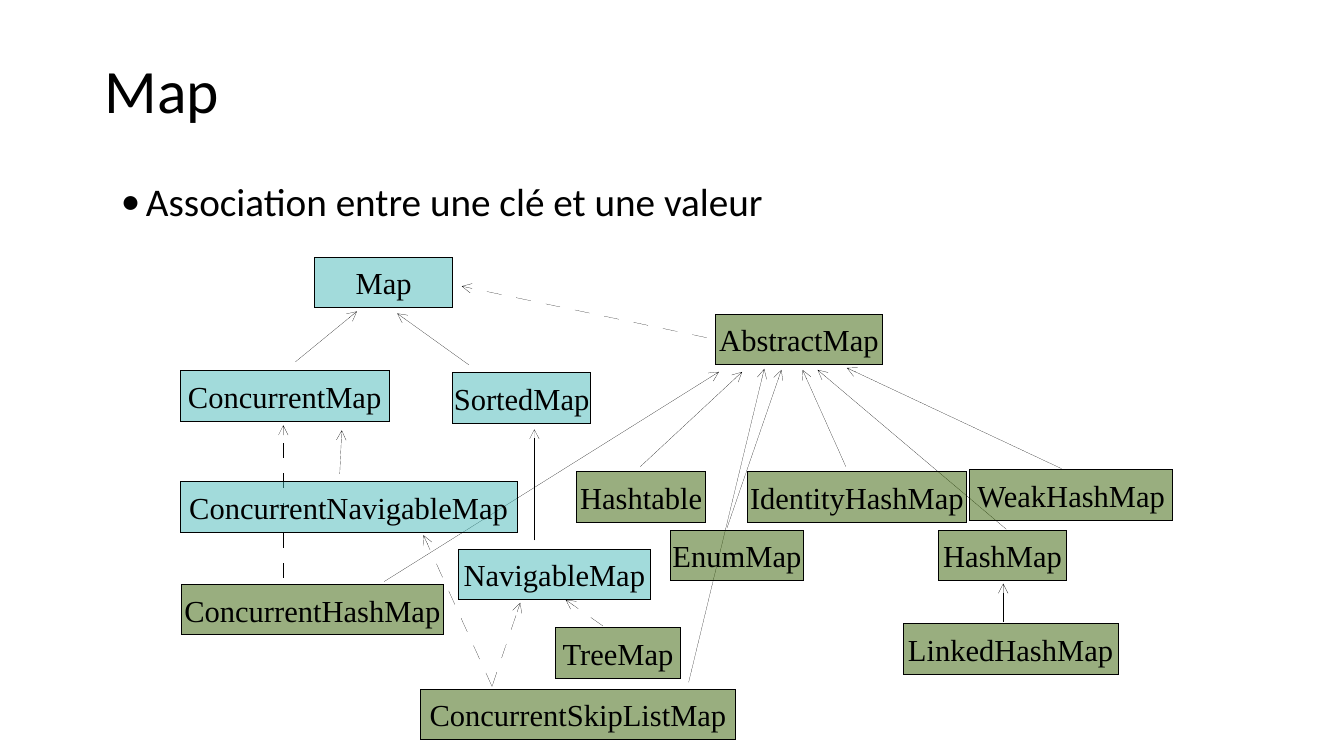
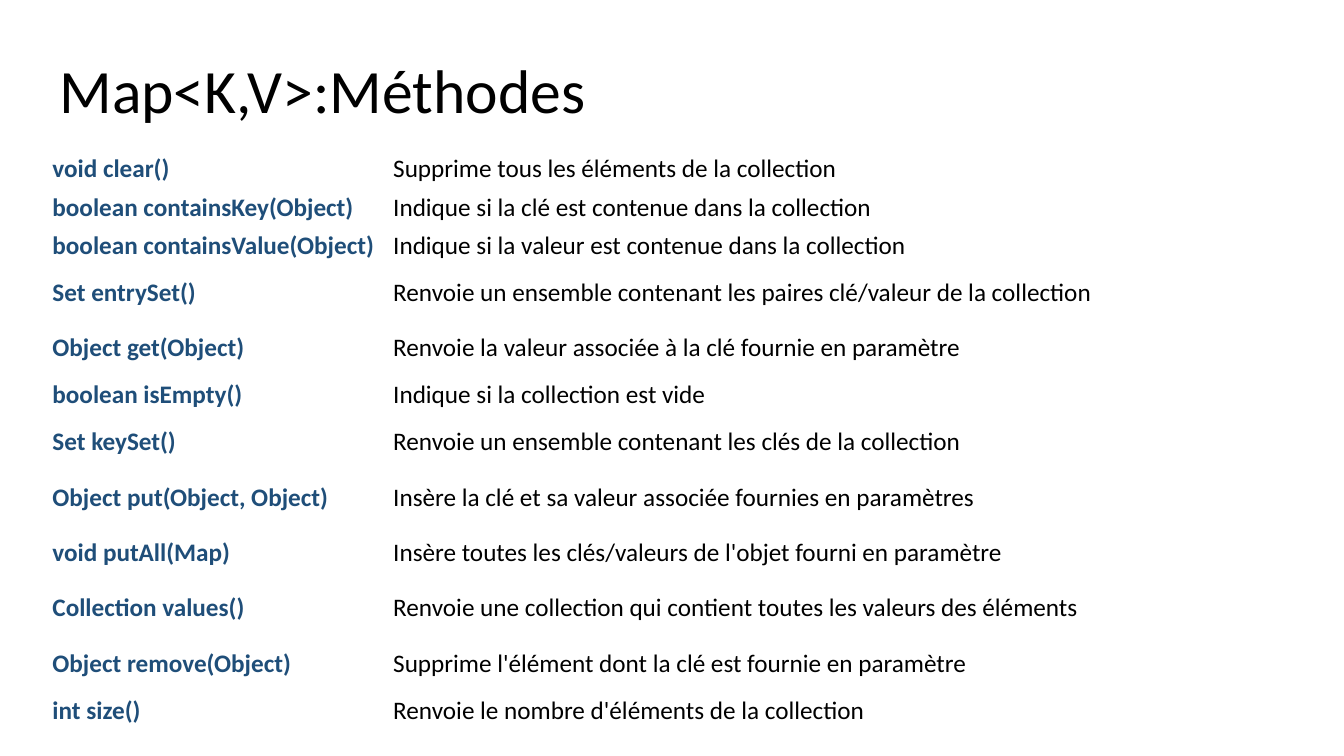
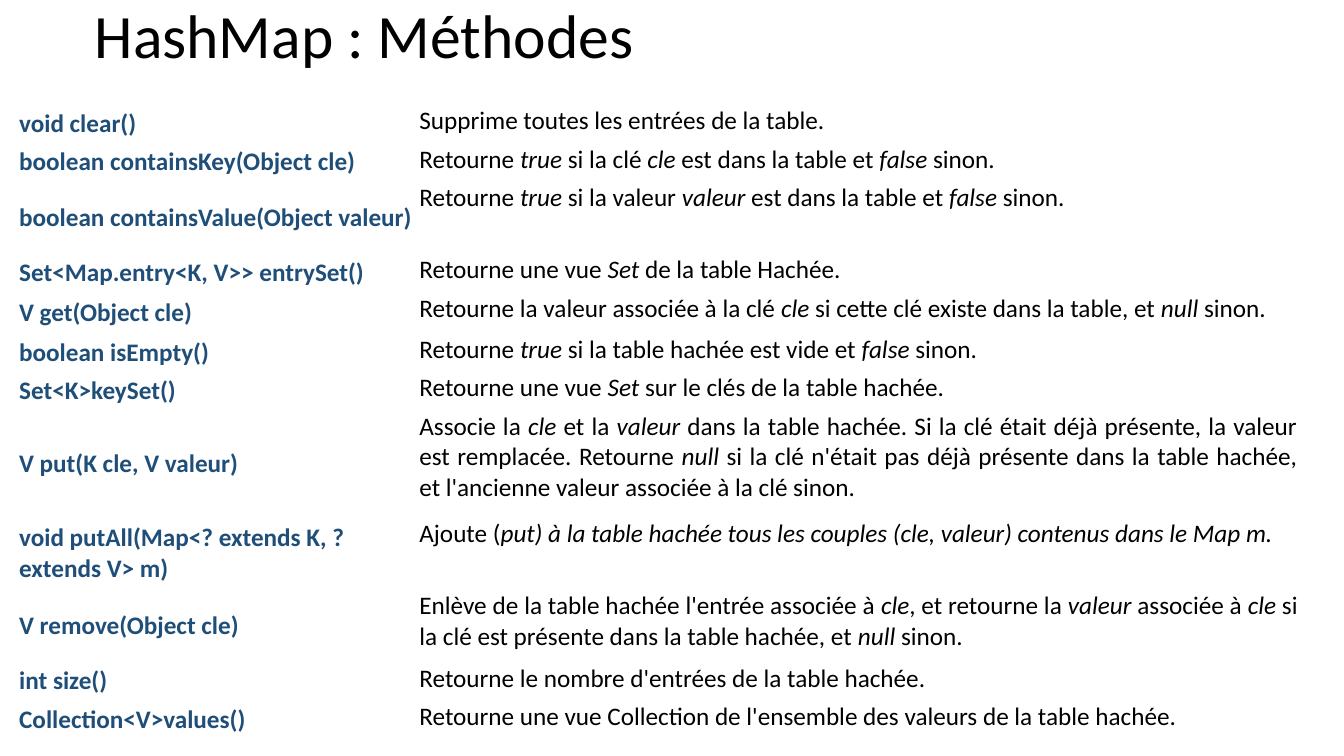
from dataclasses import dataclass

from lxml import etree
from pptx import Presentation
from pptx.dml.color import RGBColor
from pptx.enum import shapes, text
from pptx.oxml import ns
from pptx.util import Inches, Pt

BLACK = RGBColor(0x00, 0x00, 0x00)
NAVY = RGBColor(0x1F, 0x4E, 0x79)
TEAL = RGBColor(0x47, 0xB8, 0xB8)
GREEN = RGBColor(0x35, 0x5E, 0x00)
SANS = "Calibri"
SERIF = "Times New Roman"
BOX_HEIGHT = 0.5
DASH = "1400000"


@dataclass(frozen=True)
class TypeBox:
    name: str
    x: float
    y: float
    w: float
    color: RGBColor = GREEN


@dataclass(frozen=True)
class Arrow:
    x1: float
    y1: float
    x2: float
    y2: float
    dashed: bool = False


@dataclass(frozen=True)
class Method:
    signature: str
    summary: str
    height: float = 0.38


@dataclass(frozen=True)
class TableStyle:
    x: float
    y: float
    widths: tuple[float, float]
    margin: float
    anchor: text.MSO_ANCHOR
    align: text.PP_ALIGN


TYPES = (
    TypeBox("Map", 3.12, 2.55, 1.37, TEAL),
    TypeBox("ConcurrentMap", 1.79, 3.68, 2.07, TEAL),
    TypeBox("SortedMap", 4.49, 3.7, 1.37, TEAL),
    TypeBox("ConcurrentNavigableMap", 1.79, 4.78, 3.34, TEAL),
    TypeBox("NavigableMap", 4.55, 5.45, 1.9, TEAL),
    TypeBox("AbstractMap", 7.1, 3.12, 1.65),
    TypeBox("Hashtable", 5.72, 4.68, 1.28),
    TypeBox("IdentityHashMap", 7.41, 4.68, 2.18),
    TypeBox("WeakHashMap", 9.62, 4.66, 2.01),
    TypeBox("EnumMap", 6.65, 5.26, 1.32),
    TypeBox("HashMap", 9.31, 5.26, 1.27),
    TypeBox("LinkedHashMap", 8.96, 6.19, 2.13),
    TypeBox("ConcurrentHashMap", 1.8, 5.8, 2.6),
    TypeBox("TreeMap", 5.51, 6.23, 1.24),
    TypeBox("ConcurrentSkipListMap", 4.17, 6.84, 3.13),
)

ARROWS = (
    Arrow(3.81, 5.77, 7.13, 3.69),
    Arrow(6.83, 6.77, 7.58, 3.66),
    Arrow(9.98, 5.25, 8.11, 3.67),
    Arrow(2.93, 3.59, 3.54, 3.09),
    Arrow(4.65, 3.62, 3.94, 3.11),
    Arrow(8.39, 4.63, 7.96, 3.67),
    Arrow(7.21, 5.24, 7.75, 3.67),
    Arrow(9.95, 6.17, 9.95, 5.79),
    Arrow(6.35, 4.63, 7.36, 3.69),
    Arrow(10.53, 4.65, 8.4, 3.65),
    Arrow(5.3, 5.36, 5.3, 4.26),
    Arrow(3.37, 4.7, 3.39, 4.27),
    Arrow(7.01, 3.35, 4.58, 2.84, True),
    Arrow(4.88, 6.81, 5.16, 5.98, True),
    Arrow(4.88, 6.81, 4.2, 5.31, True),
    Arrow(2.81, 5.73, 2.81, 4.22, True),
    Arrow(5.98, 6.21, 5.61, 5.95, True),
)

MAP_METHODS = (
    Method("void clear()", "Supprime tous les éléments de la collection"),
    Method("boolean containsKey(Object)", "Indique si la clé est contenue dans la collection"),
    Method("boolean containsValue(Object)", "Indique si la valeur est contenue dans la collection"),
    Method("Set entrySet()", "Renvoie un ensemble contenant les paires clé/valeur de la collection", 0.55),
    Method("Object get(Object)", "Renvoie la valeur associée à la clé fournie en paramètre", 0.55),
    Method("boolean isEmpty()", "Indique si la collection est vide"),
    Method("Set keySet()", "Renvoie un ensemble contenant les clés de la collection", 0.55),
    Method("Object put(Object, Object)", "Insère la clé et sa valeur associée fournies en paramètres", 0.55),
    Method("void putAll(Map)", "Insère toutes les clés/valeurs de l'objet fourni en paramètre", 0.55),
    Method("Collection values()", "Renvoie une collection qui contient toutes les valeurs des éléments", 0.55),
    Method("Object remove(Object)", "Supprime l'élément dont la clé est fournie en paramètre", 0.55),
    Method("int size()", "Renvoie le nombre d'éléments de la collection"),
)

HASHMAP_METHODS = (
    Method("void clear()", "Supprime toutes les entrées de la table."),
    Method("boolean containsKey(Object cle)",
           "Retourne *true* si la clé *cle* est dans la table et *false* sinon."),
    Method("boolean containsValue(Object valeur)",
           "Retourne *true* si la valeur *valeur *est dans la table et *false* sinon.", 0.72),
    Method("Set<Map.entry<K, V>> entrySet()", "Retourne une vue *Set* de la table Hachée."),
    Method("V get(Object cle)",
           "Retourne la valeur associée à la clé *cle* si cette clé existe dans la table, "
           "et *null* sinon.", 0.41),
    Method("boolean isEmpty()", "Retourne *true* si la table hachée est vide et *false* sinon."),
    Method("Set<K>keySet()", "Retourne une vue *Set* sur le clés de la table hachée."),
    Method("V put(K cle, V valeur)",
           "Associe la *cle* et la *valeur* dans la table hachée. Si la clé était déjà présente, "
           "la valeur est remplacée. Retourne *null* si la clé n'était pas déjà présente dans la "
           "table hachée, et l'ancienne valeur associée à la clé sinon.", 1.06),
    Method("void putAll(Map<? extends K, ? extends V> m)",
           "Ajoute (*put) à la table hachée tous les couples (cle, valeur) contenus dans le Map m.*",
           0.72),
    Method("V remove(Object cle)",
           "Enlève de la table hachée l'entrée associée à *cle*, et retourne la *valeur* associée "
           "à *cle* si la clé est présente dans la table hachée, et *null* sinon.", 0.72),
    Method("int size()", "Retourne le nombre d'entrées de la table hachée."),
    Method("Collection<V>values()",
           "Retourne une vue Collection de l'ensemble des valeurs de la table hachée."),
)

MAP_TABLE = TableStyle(0.49, 1.49, (3.38, 8.69), 0.03, text.MSO_ANCHOR.MIDDLE, text.PP_ALIGN.LEFT)
HASHMAP_TABLE = TableStyle(0.18, 1.04, (3.97, 8.73), 0.01, text.MSO_ANCHOR.TOP, text.PP_ALIGN.JUSTIFY)


def add_runs(p, marked: str, size: float, font: str = SANS,
             color: RGBColor = BLACK, bold: bool = False) -> None:
    for i, part in enumerate(marked.split("*")):
        if part:
            r = p.add_run()
            r.text = part
            r.font.name, r.font.size = font, Pt(size)
            r.font.bold, r.font.italic = bold, i % 2 == 1
            r.font.color.rgb = color


def add_text(s, content: str, x: float, y: float, w: float, h: float, size: float):
    tf = s.shapes.add_textbox(Inches(x), Inches(y), Inches(w), Inches(h)).text_frame
    tf.word_wrap = True
    p = tf.paragraphs[0]
    p.line_spacing = 0.9
    add_runs(p, content, size)
    return tf


def add_titled_slide(prs, title: str, x: float, y: float, w: float):
    s = prs.slides.add_slide(prs.slide_layouts[6])
    tf = add_text(s, title, x, y, w, 0.77, 44)
    tf.vertical_anchor = text.MSO_ANCHOR.MIDDLE
    return s


def add_bullet(s, content: str) -> None:
    p = add_text(s, content, 1.1, 1.76, 9.84, 0.53, 28).paragraphs[0]
    p.space_before = Pt(10)
    pr = p._p.get_or_add_pPr()
    pr.set("marL", str(Inches(0.25)))
    pr.set("indent", str(Inches(-0.25)))
    etree.SubElement(pr, ns.qn("a:buFont")).set("typeface", SANS)
    etree.SubElement(pr, ns.qn("a:buChar")).set("char", "•")


def set_hairline(sp):
    sp.line.color.rgb = BLACK
    ln = sp._element.spPr.find(ns.qn("a:ln"))
    ln.set("w", "0")
    return ln


def add_type_box(s, box: TypeBox) -> None:
    sp = s.shapes.add_shape(shapes.MSO_SHAPE.RECTANGLE, Inches(box.x), Inches(box.y),
                            Inches(box.w), Inches(BOX_HEIGHT))
    sp.shadow.inherit = False
    sp.fill.solid()
    sp.fill.fore_color.rgb = box.color
    clr = sp._element.spPr.find(ns.qn("a:solidFill")).find(ns.qn("a:srgbClr"))
    etree.SubElement(clr, ns.qn("a:alpha")).set("val", "50000")
    set_hairline(sp)
    tf = sp.text_frame
    tf.word_wrap = False
    tf.margin_left = tf.margin_right = tf.margin_top = tf.margin_bottom = 0
    tf.vertical_anchor = text.MSO_ANCHOR.MIDDLE
    p = tf.paragraphs[0]
    p.alignment = text.PP_ALIGN.CENTER
    add_runs(p, box.name, 21.8, SERIF)


def add_arrow(s, arrow: Arrow) -> None:
    cx = s.shapes.add_connector(shapes.MSO_CONNECTOR.STRAIGHT, Inches(arrow.x1), Inches(arrow.y1),
                                Inches(arrow.x2), Inches(arrow.y2))
    ln = set_hairline(cx)
    if arrow.dashed:
        ds = etree.SubElement(etree.SubElement(ln, ns.qn("a:custDash")), ns.qn("a:ds"))
        ds.set("d", DASH)
        ds.set("sp", DASH)
    etree.SubElement(ln, ns.qn("a:tailEnd")).set("type", "arrow")
    etree.SubElement(cx._element.spPr, ns.qn("a:effectLst"))


def fill_cell(cell, content: str, margin: float, anchor: text.MSO_ANCHOR,
              align: text.PP_ALIGN, color: RGBColor, bold: bool) -> None:
    cell.fill.background()
    cell.margin_left = cell.margin_right = cell.margin_top = cell.margin_bottom = Inches(margin)
    cell.vertical_anchor = anchor
    p = cell.text_frame.paragraphs[0]
    p.alignment = align
    add_runs(p, content, 18, SANS, color, bold)


def add_method_table(s, methods: tuple[Method, ...], style: TableStyle) -> None:
    tbl = s.shapes.add_table(len(methods), 2, Inches(style.x), Inches(style.y),
                             Inches(sum(style.widths)),
                             Inches(sum(m.height for m in methods))).table
    tbl.first_row = tbl.horz_banding = False
    for col, width in zip(tbl.columns, style.widths):
        col.width = Inches(width)
    for row, method in zip(tbl.rows, methods):
        row.height = Inches(method.height)
        signature, summary = row.cells
        fill_cell(signature, method.signature, style.margin, text.MSO_ANCHOR.MIDDLE,
                  text.PP_ALIGN.LEFT, NAVY, True)
        fill_cell(summary, method.summary, style.margin, style.anchor, style.align, BLACK, False)


def main() -> None:
    prs = Presentation()
    prs.slide_width, prs.slide_height = Inches(13.33), Inches(7.5)

    s = add_titled_slide(prs, "Map", 0.94, 0.54, 10)
    add_bullet(s, "Association entre une clé et une valeur")
    for arrow in ARROWS:
        add_arrow(s, arrow)
    for box in TYPES:
        add_type_box(s, box)

    s = add_titled_slide(prs, "Map<K,V>:Méthodes", 0.49, 0.54, 10.45)
    add_method_table(s, MAP_METHODS, MAP_TABLE)

    s = add_titled_slide(prs, "HashMap : Méthodes", 0.84, 0, 10.09)
    add_method_table(s, HASHMAP_METHODS, HASHMAP_TABLE)

    prs.save("out.pptx")


if __name__ == "__main__":
    main()
